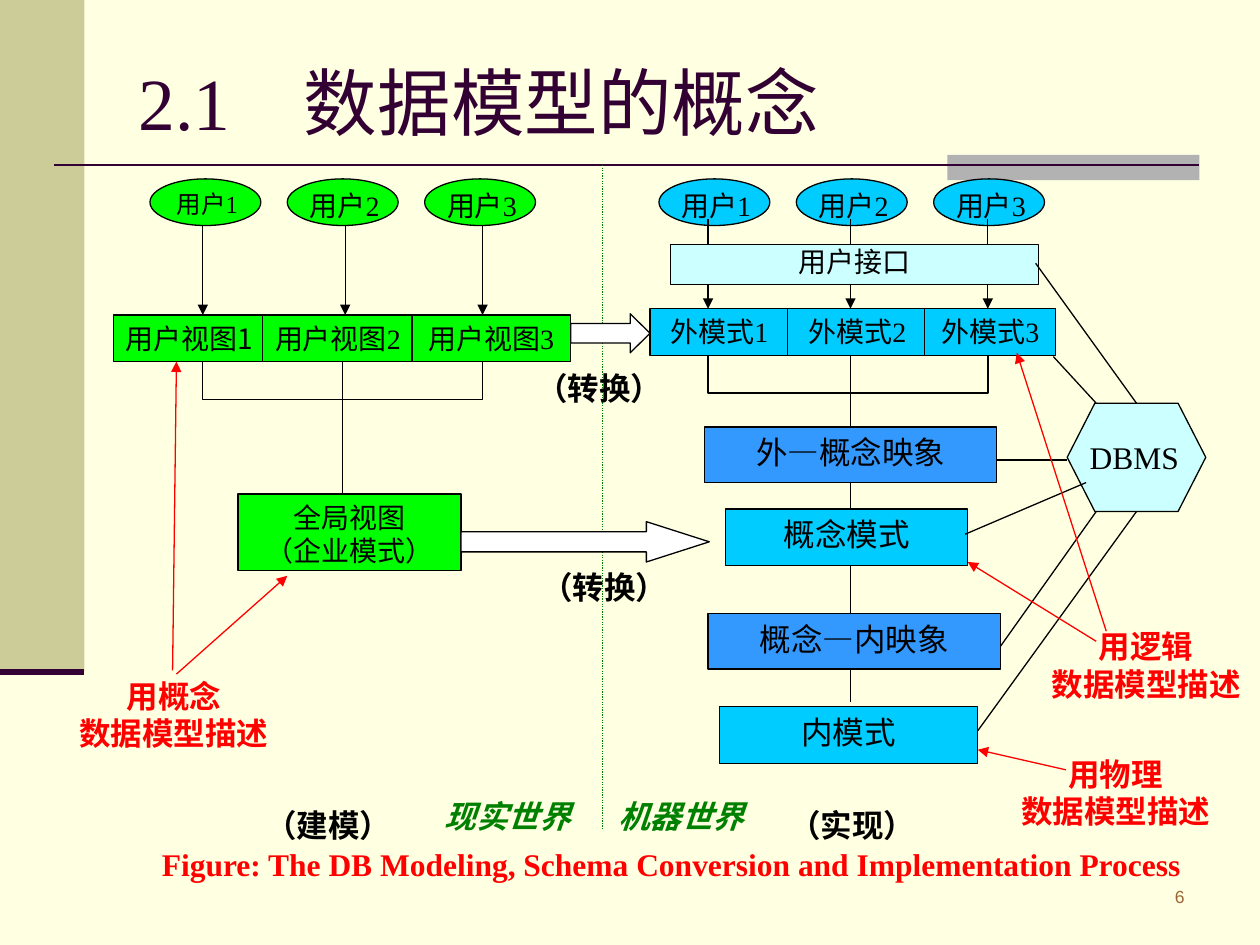
from lxml.etree import SubElement
from pptx import Presentation
from pptx.dml.color import RGBColor
from pptx.enum.dml import MSO_LINE
from pptx.enum.shapes import MSO_CONNECTOR, MSO_SHAPE
from pptx.enum.text import MSO_ANCHOR, PP_ALIGN
from pptx.oxml.ns import qn
from pptx.util import Inches, Pt

COLORS = {
    "cream": "FFFFE1", "khaki": "CCCC99", "gray": "B2B2B2", "plum": "330033",
    "brown": "996633", "black": "000000", "white": "FFFFFF", "red": "FF0000",
    "forest": "008000", "green": "00FF00", "cyan": "00CCFF", "blue": "3399FF",
    "ice": "CCFFFF",
}
SERIF, SANS = "Times New Roman", "Noto Sans CJK SC"
COLUMNS, ROWS = 10, 7.5
WIDTH, HEIGHT = Inches(10), Inches(7.5)


def color(name):
    return RGBColor.from_string(COLORS[name])


def x(columns):
    return round(WIDTH * columns / COLUMNS)


def y(rows):
    return round(HEIGHT * rows / ROWS)


def cells(left, top, width, height):
    return x(left), y(top), x(width), y(height)


def write(frame, text, size=18, ink="black", font=SERIF, align=PP_ALIGN.CENTER,
          bold=False, italic=False, inset=0.05, anchor=MSO_ANCHOR.TOP):
    frame.word_wrap = True
    frame.vertical_anchor = anchor
    frame.margin_left = frame.margin_right = Inches(0.1)
    frame.margin_top = frame.margin_bottom = Inches(inset)
    frame.text = text
    for paragraph in frame.paragraphs:
        paragraph.alignment = align
        paragraph.font.size = Pt(size)
        paragraph.font.name = font
        paragraph.font.bold = bold
        paragraph.font.italic = italic
        paragraph.font.color.rgb = color(ink)


def label(slide, area, text, **style):
    write(slide.shapes.add_textbox(*cells(*area)).text_frame, text, **style)


def block(slide, kind, area, fill, outline="black"):
    shape = slide.shapes.add_shape(kind, *cells(*area))
    shape.shadow.inherit = False
    shape.fill.solid()
    shape.fill.fore_color.rgb = color(fill)
    if outline:
        shape.line.color.rgb = color(outline)
        shape.line.width = Pt(0.75)
    else:
        shape.line.fill.background()
    return shape


def box(slide, area, fill, text, **style):
    write(block(slide, MSO_SHAPE.RECTANGLE, area, fill).text_frame, text, **style)


def line(slide, start, end, ink="black", weight=0.75, arrow=False, dash=None):
    connector = slide.shapes.add_connector(
        MSO_CONNECTOR.STRAIGHT, x(start[0]), y(start[1]), x(end[0]), y(end[1]))
    connector.line.color.rgb = color(ink)
    connector.line.width = Pt(weight)
    if dash:
        connector.line.dash_style = dash
    if arrow:
        SubElement(connector.line._get_or_add_ln(), qn("a:tailEnd"), type="triangle")
    SubElement(connector._element.spPr, qn("a:effectLst"))


def bracket(slide, left, right, top, depth):
    builder = slide.shapes.build_freeform(x(left), y(top))
    builder.add_line_segments(
        [(x(left), y(top + depth)), (x(right), y(top + depth)), (x(right), y(top))],
        close=False)
    shape = builder.convert_to_shape()
    shape.shadow.inherit = False
    shape.fill.background()
    shape.line.color.rgb = color("black")
    shape.line.width = Pt(0.75)


def users(slide, left, fill, sizes):
    for number, size in enumerate(sizes, 1):
        start = left + 1.09 * (number - 1)
        block(slide, MSO_SHAPE.OVAL, (start, 1.42, 0.88, 0.37), fill)
        label(slide, (start, 1.45, 0.91, 0.34), f"用户{number}", size=size)


def feeds(slide, columns, top, bottom):
    for column in columns:
        line(slide, (column, top), (column, bottom), arrow=True)


def block_arrow(slide, area, head):
    arrow = block(slide, MSO_SHAPE.RIGHT_ARROW, area, "white")
    arrow.adjustments[0], arrow.adjustments[1] = 0.5, head


def frame_page(slide):
    slide.background.fill.solid()
    slide.background.fill.fore_color.rgb = color("cream")
    block(slide, MSO_SHAPE.RECTANGLE, (0, 0, 0.67, 5.33), "khaki", None)
    block(slide, MSO_SHAPE.RECTANGLE, (7.52, 1.23, 2, 0.2), "gray", None)
    line(slide, (0.43, 1.31), (9.52, 1.31), "plum", 1.5)
    line(slide, (0, 5.33), (0.67, 5.33), "plum", 3.5)
    label(slide, (8.23, 6.98, 1.27, 0.35), "6", size=10, font="Arial",
          ink="brown", align=PP_ALIGN.RIGHT)
    title = slide.shapes.title
    title.left, title.top, title.width, title.height = cells(1, 0.3, 8.5, 1.01)
    write(title.text_frame, "2.1　数据模型的概念", size=42, ink="plum",
          align=PP_ALIGN.LEFT, anchor=MSO_ANCHOR.MIDDLE)


def machine_world(slide):
    users(slide, 5.23, "cyan", (16, 16, 16))
    feeds(slide, (5.62, 6.75, 7.84), 1.74, 2.45)
    for number, (left, width) in enumerate(((5.16, 1.1), (6.25, 1.11), (7.34, 1.04)), 1):
        box(slide, (left, 2.45, width, 0.37), "cyan", f"外模式{number}", size=16)
    bracket(slide, 5.62, 7.84, 2.82, 0.3)
    line(slide, (6.75, 2.82), (6.75, 4.04))
    line(slide, (6.75, 4.49), (6.75, 5.57))
    box(slide, (5.32, 1.94, 2.92, 0.32), "ice", "用户接口", size=16, inset=0)
    box(slide, (5.59, 3.39, 2.32, 0.44), "blue", "外―概念映象")
    box(slide, (5.76, 4.04, 1.92, 0.45), "cyan", "概念模式", font=SANS)
    box(slide, (5.62, 4.87, 2.32, 0.44), "blue", "概念―内映象")
    box(slide, (5.71, 5.61, 2.05, 0.45), "cyan", "内模式", font=SANS)


def real_world(slide):
    users(slide, 1.19, "green", (14, 16, 16))
    feeds(slide, (1.61, 2.74, 3.83), 1.79, 2.5)
    views = ((SANS, PP_ALIGN.JUSTIFY), (SERIF, PP_ALIGN.JUSTIFY), (SERIF, PP_ALIGN.CENTER))
    for number, (font, align) in enumerate(views, 1):
        box(slide, (0.9 + 1.185 * (number - 1), 2.5, 1.26, 0.37), "green",
            f"用户视图{number}", size=16, font=font, align=align)
    bracket(slide, 1.61, 3.83, 2.87, 0.3)
    line(slide, (2.72, 2.87), (2.72, 3.91))
    box(slide, (1.89, 3.92, 1.77, 0.61), "green", "全局视图\n（企业模式）",
        size=16, font=SANS)


def dbms(slide):
    block(slide, MSO_SHAPE.FLOWCHART_PREPARATION, (8.47, 3.2, 1.1, 0.86), "ice")
    label(slide, (8.55, 3.43, 0.98, 0.66), "DBMS", align=PP_ALIGN.JUSTIFY)
    for start, end in (
        ((8.22, 2.09), (9.02, 3.2)), ((7.94, 5.13), (8.7, 4.06)),
        ((8.47, 3.65), (7.91, 3.65)), ((7.76, 5.8), (9.02, 4.06)),
        ((7.66, 4.24), (8.62, 3.83)), ((8.36, 2.83), (8.7, 3.2)),
    ):
        line(slide, start, end)


def conversion(slide):
    line(slide, (4.78, 1.31), (4.78, 6.58), "forest", dash=MSO_LINE.ROUND_DOT)
    for left, world in ((3.43, "现实世界"), (4.81, "机器世界")):
        label(slide, (left, 6.28, 1.51, 0.52), world, ink="forest",
              align=PP_ALIGN.JUSTIFY, bold=True, italic=True)
    block_arrow(slide, (4.53, 2.49, 0.63, 0.31), 0.51)
    block_arrow(slide, (3.66, 4.14, 1.97, 0.32), 1.56)
    for left, top, step in (
        (1.85, 6.35, "（建模）"), (6.01, 6.35, "（实现）"),
        (4.04, 4.46, "（转换）"), (4, 2.88, "（转换）"),
    ):
        label(slide, (left, top, 1.51, 0.44), step, bold=True)


def descriptions(slide):
    for area, model in (
        ((0.43, 5.32, 1.9, 0.91), "用概念"), ((7.91, 5.94, 1.89, 0.67), "用物理"),
        ((8.19, 4.93, 1.81, 0.67), "用逻辑"),
    ):
        label(slide, area, f"{model}\n数据模型描述", ink="red", bold=True)
    for start, end in (
        ((1.37, 5.32), (1.4, 2.87)), ((1.4, 5.35), (2.28, 4.57)),
        ((8.46, 6.11), (7.76, 5.95)), ((8.7, 5.09), (7.68, 4.46)),
        ((8.78, 5.01), (8.07, 2.8)),
    ):
        line(slide, start, end, "red", arrow=True)
    label(slide, (0.9, 6.66, 8.86, 0.39),
          "Figure: The DB Modeling, Schema Conversion and Implementation Process",
          ink="red", bold=True)


def main():
    deck = Presentation()
    deck.slide_width, deck.slide_height = WIDTH, HEIGHT
    slide = deck.slides.add_slide(deck.slide_layouts[5])
    frame_page(slide)
    machine_world(slide)
    real_world(slide)
    dbms(slide)
    conversion(slide)
    descriptions(slide)
    deck.save("out.pptx")


if __name__ == "__main__":
    main()
